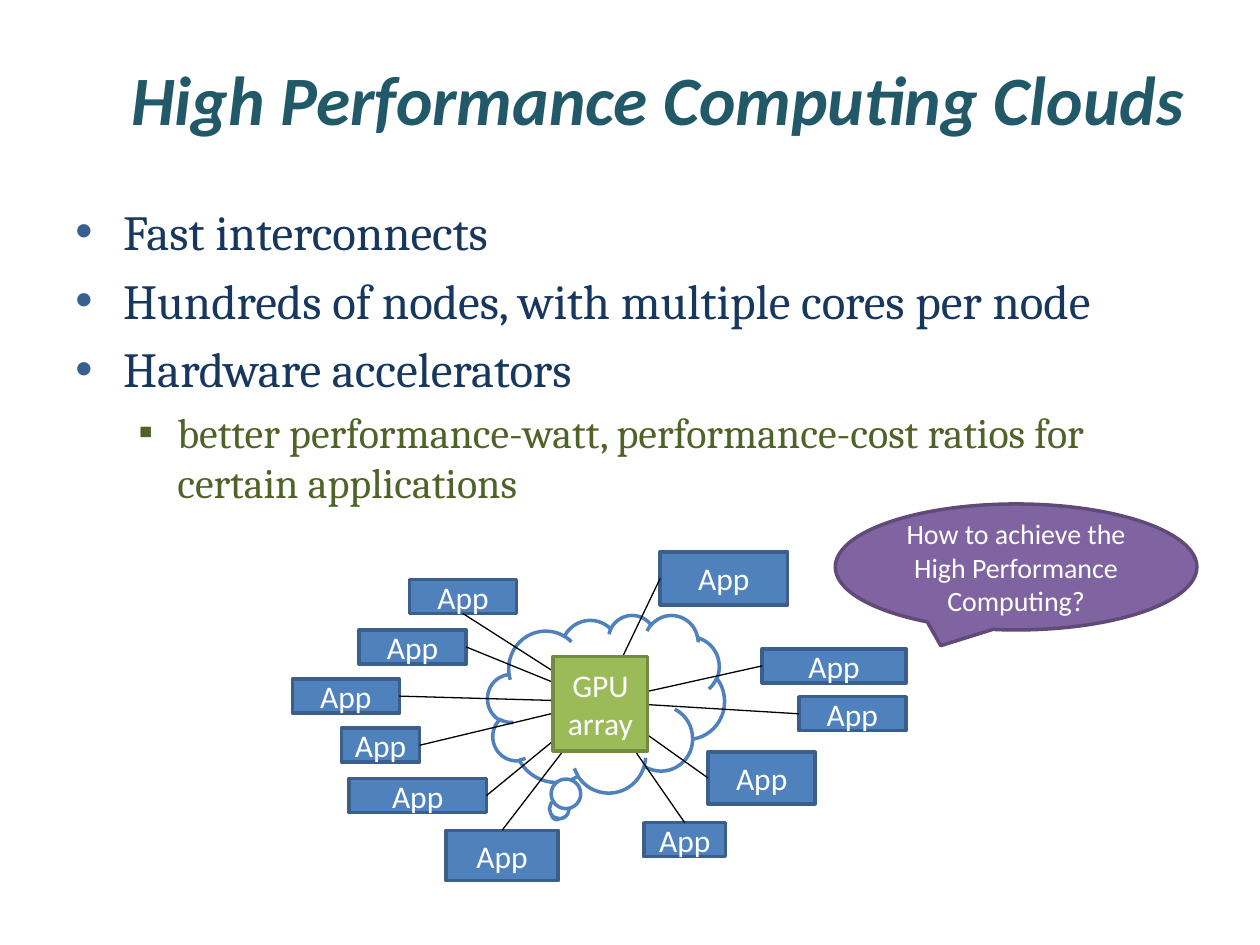
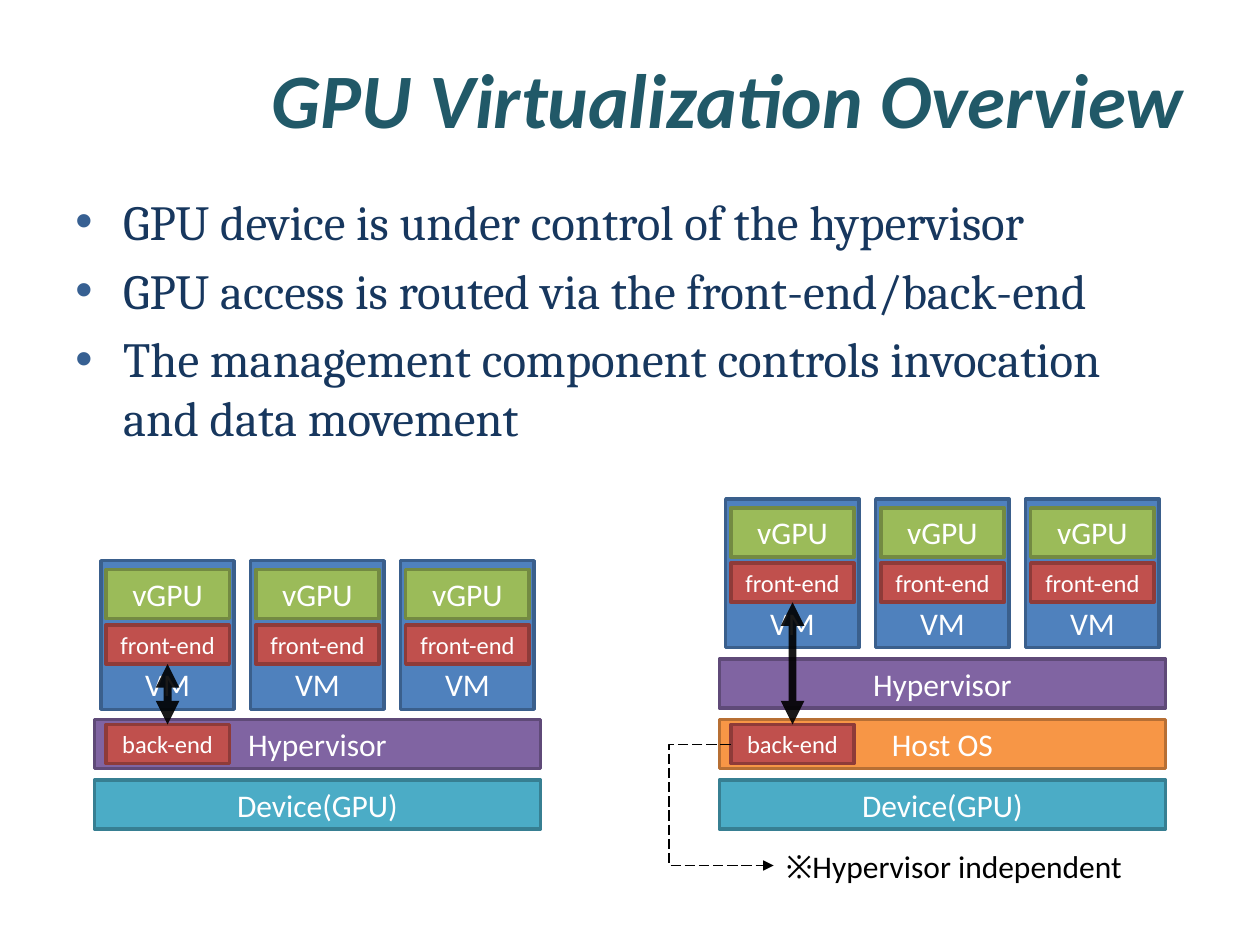
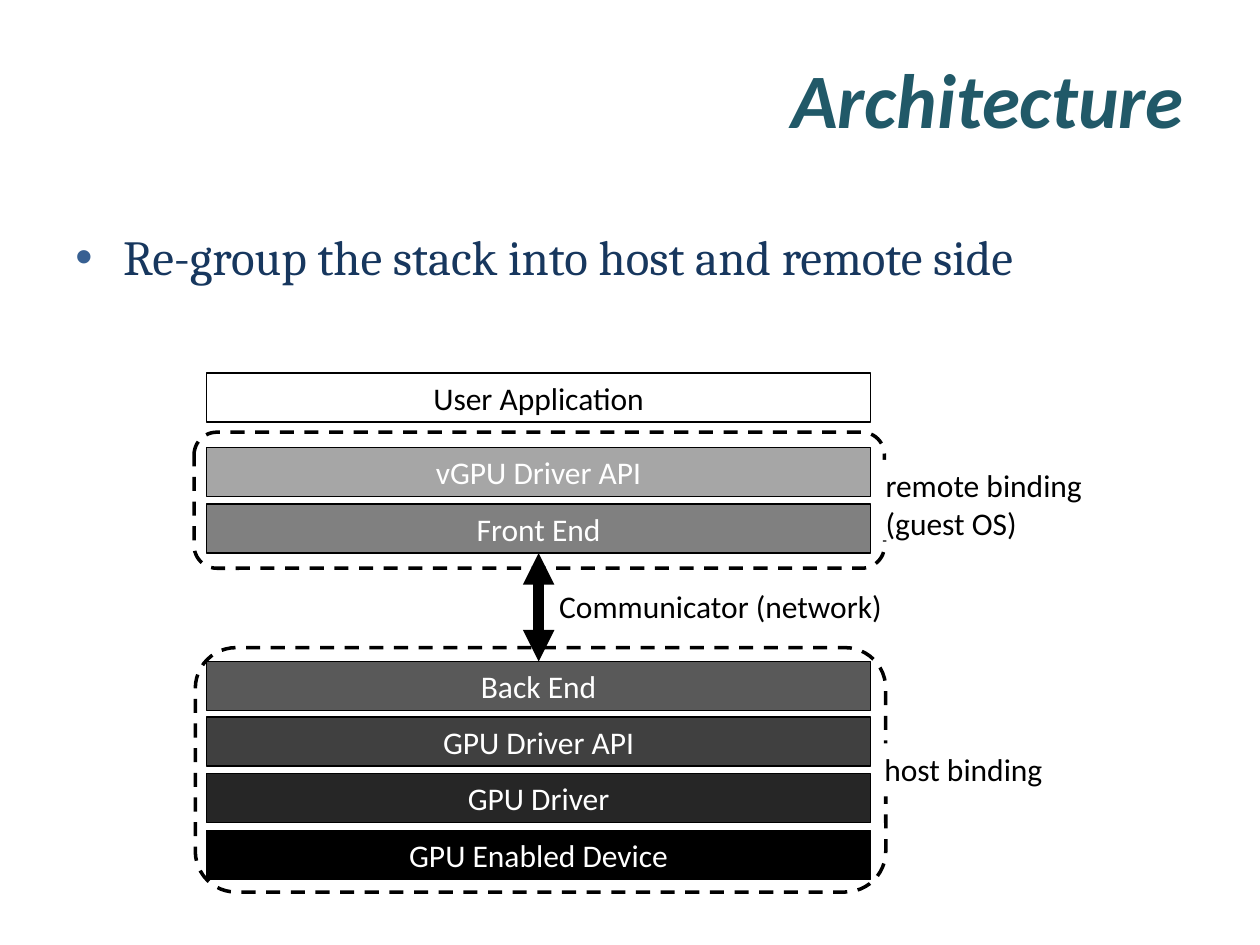
from lxml import etree
from pptx import Presentation
from pptx.dml.color import RGBColor
from pptx.enum.dml import MSO_LINE
from pptx.enum.shapes import MSO_CONNECTOR, MSO_SHAPE
from pptx.enum.text import MSO_ANCHOR, MSO_AUTO_SIZE, PP_ALIGN
from pptx.oxml.ns import qn
from pptx.util import Inches, Pt

RECT, ROUNDED = MSO_SHAPE.RECTANGLE, MSO_SHAPE.ROUNDED_RECTANGLE
CLOUD, SPEECH = MSO_SHAPE.CLOUD_CALLOUT, MSO_SHAPE.OVAL_CALLOUT
STRAIGHT, ELBOW = MSO_CONNECTOR.STRAIGHT, MSO_CONNECTOR.ELBOW
DASH, LONG_DASH = MSO_LINE.DASH, MSO_LINE.LONG_DASH
MIDDLE, BOTTOM = MSO_ANCHOR.MIDDLE, MSO_ANCHOR.BOTTOM
CENTER, RIGHT = PP_ALIGN.CENTER, PP_ALIGN.RIGHT
NO_AUTOFIT = MSO_AUTO_SIZE.NONE
TOP_SIDE, LEFT_SIDE, BOTTOM_SIDE, RIGHT_SIDE = range(4)

rgb = RGBColor.from_string
WHITE, BLACK = "FFFFFF", "000000"
BLUE = ("4F81BD", "3A5F8C")
GREEN = ("9BBB59", "738A42")
PURPLE = ("8064A2", "5F4A78")
RED = ("C0504D", "8E3B39")
ORANGE = ("F79646", "B76F34")
TEAL = ("4BACC6", "377F92")
HEADING_FONT, BODY_FONT = "Calibri", "Cambria"


def box(slide, kind, place, text, colours, size=18, ink=WHITE, anchor=MIDDLE, weight=2):
    shape = slide.shapes.add_shape(kind, *map(Inches, place))
    shape.shadow.inherit = False
    fill, outline = colours
    if fill:
        shape.fill.solid()
        shape.fill.fore_color.rgb = rgb(fill)
    else:
        shape.fill.background()
    shape.line.color.rgb = rgb(outline)
    shape.line.width = Pt(weight)
    if text:
        frame = shape.text_frame
        frame.word_wrap = True
        frame.vertical_anchor = anchor
        paragraph = frame.paragraphs[0]
        paragraph.text = text
        paragraph.alignment = CENTER
        paragraph.font.name = HEADING_FONT
        paragraph.font.size = Pt(size)
        paragraph.font.color.rgb = rgb(ink)
    return shape


def arrow(slide, kind, start, end, weight, heads=("tailEnd",)):
    connector = slide.shapes.add_connector(kind, *map(Inches, start + end))
    connector.line.color.rgb = rgb(BLACK)
    connector.line.width = Pt(weight)
    properties = connector._element.spPr
    for head in heads:
        etree.SubElement(properties.find(qn("a:ln")), qn(f"a:{head}"), type="triangle")
    etree.SubElement(properties, qn("a:effectLst"))
    return connector


BOTH_HEADS = ("headEnd", "tailEnd")

prs = Presentation()
prs.slide_width, prs.slide_height = Inches(10), Inches(7.5)

bullet_levels = [
    (0.38, -0.38, "•", "376092", "17375E", 28),
    (0.81, -0.31, "▪", "4F6228", "4F6228", 24),
]
outline = [
    ("High Performance Computing Clouds", 39.6, 1.55, 5.15, [
        (0, "Fast interconnects"),
        (0, "Hundreds of nodes, with multiple cores per node"),
        (0, "Hardware accelerators"),
        (1, "better performance-watt, performance-cost ratios for certain applications"),
    ]),
    ("GPU Virtualization Overview", 44, 1.47, 2.2, [
        (0, "GPU device is under control of the hypervisor"),
        (0, "GPU access is routed via the front-end/back-end"),
        (0, "The management component controls invocation and data movement"),
    ]),
    ("Architecture", 44, 1.75, 4.95, [
        (0, "Re-group the stack into host and remote side"),
    ]),
]
for heading, heading_size, body_top, body_height, points in outline:
    slide = prs.slides.add_slide(prs.slide_layouts[5])
    title = slide.shapes.title
    title.left, title.top, title.width, title.height = map(Inches, (0.5, 0.3, 9, 0.95))
    title.text_frame.text = heading
    title.text_frame.auto_size = NO_AUTOFIT
    title.text_frame.vertical_anchor = MIDDLE
    paragraph = title.text_frame.paragraphs[0]
    paragraph.alignment = RIGHT
    paragraph.font.name = HEADING_FONT
    paragraph.font.size = Pt(heading_size)
    paragraph.font.bold = paragraph.font.italic = True
    paragraph.font.color.rgb = rgb("215968")

    body = slide.shapes.add_textbox(*map(Inches, (0.5, body_top, 9, body_height))).text_frame
    body.word_wrap = True
    for index, (level, point) in enumerate(points):
        margin, indent, mark, mark_colour, ink, size = bullet_levels[level]
        paragraph = body.add_paragraph() if index else body.paragraphs[0]
        paragraph.text = point
        paragraph.level = level
        properties = paragraph._p.get_or_add_pPr()
        properties.set("marL", str(Inches(margin)))
        properties.set("indent", str(Inches(indent)))
        colour = etree.SubElement(properties, qn("a:buClr"))
        etree.SubElement(colour, qn("a:srgbClr"), val=mark_colour)
        etree.SubElement(properties, qn("a:buFont"), typeface="Arial")
        etree.SubElement(properties, qn("a:buChar"), char=mark)
        if index:
            paragraph.space_before = Pt(size * 0.2)
        paragraph.font.name = BODY_FONT
        paragraph.font.size = Pt(size)
        paragraph.font.color.rgb = rgb(ink)

clouds, virtualization, architecture = prs.slides

gpu_centre = (4.77, 5.57)
apps = [
    (5.24, 4.38, 1.01, 0.42, LEFT_SIDE),
    (3.25, 4.6, 0.85, 0.27, BOTTOM_SIDE),
    (5.11, 6.53, 0.65, 0.27, TOP_SIDE),
    (2.71, 5.78, 0.62, 0.27, RIGHT_SIDE),
    (2.77, 6.18, 1.09, 0.27, RIGHT_SIDE),
    (5.62, 5.97, 0.85, 0.41, LEFT_SIDE),
    (6.05, 5.15, 1.14, 0.27, LEFT_SIDE),
    (2.85, 5, 0.85, 0.27, RIGHT_SIDE),
    (6.34, 5.53, 0.85, 0.27, LEFT_SIDE),
    (2.32, 5.39, 0.85, 0.27, RIGHT_SIDE),
    (3.54, 6.59, 0.89, 0.4, TOP_SIDE),
]
box(clouds, CLOUD, (3.87, 4.88, 1.88, 1.41), "", (WHITE, BLUE[0]))
for *place, side in apps:
    app = box(clouds, RECT, place, "App", BLUE)
    arrow(clouds, STRAIGHT, tuple(place[:2]), gpu_centre, 0.75).begin_connect(app, side)
box(clouds, RECT, (4.39, 5.21, 0.75, 0.75), "GPU array", GREEN)
box(clouds, SPEECH, (6.63, 4, 2.87, 1),
    "How to achieve the High Performance Computing?", PURPLE, size=16)

stacks = [
    (0.75, 4.45, [("Hypervisor", PURPLE), ("Device(GPU)", TEAL)]),
    (5.71, 3.96, [("Hypervisor", PURPLE), ("Host OS", ORANGE), ("Device(GPU)", TEAL)]),
]
for left, vm_top, layers in stacks:
    for row, (layer, colours) in enumerate(reversed(layers)):
        box(virtualization, RECT, (left, 6.19 - 0.48 * row, 3.54, 0.39), layer, colours)
    back_end = box(virtualization, RECT, (left + 0.09, 5.75, 0.98, 0.31), "back-end", RED, size=14)
    front_ends = []
    for column in range(3):
        vm_left = left + 0.05 + 1.19 * column
        inner_left = vm_left + 0.04
        box(virtualization, RECT, (vm_left, vm_top, 1.06, 1.18), "VM", BLUE, anchor=BOTTOM)
        box(virtualization, RECT, (inner_left, vm_top + 0.07, 0.98, 0.39), "vGPU", GREEN)
        front_ends.append(box(virtualization, RECT, (inner_left, vm_top + 0.51, 0.98, 0.31),
                              "front-end", RED, size=14))
    channel = arrow(virtualization, STRAIGHT, (left + 0.58, vm_top + 0.82),
                    (left + 0.58, 5.75), 4.5, BOTH_HEADS)
    channel.begin_connect(front_ends[0], BOTTOM_SIDE)
    channel.end_connect(back_end, TOP_SIDE)
    channel_colour = channel._element.spPr.find(".//" + qn("a:srgbClr"))
    etree.SubElement(channel_colour, qn("a:alpha"), val="90000")

callout = arrow(virtualization, ELBOW, (5.8, 5.91), (6.14, 6.87), 0.75)
callout.line.dash_style = LONG_DASH
bend = callout._element.spPr.find(qn("a:prstGeom")).get_or_add_avLst()
etree.SubElement(bend, qn("a:gd"), name="adj1", fmla="val -144400")

components = [
    ("User Application", 2.96, WHITE, BLACK),
    ("vGPU Driver API", 3.55, "A6A6A6", WHITE),
    ("Front End", 4, "808080", WHITE),
    ("Back End", 5.25, "595959", WHITE),
    ("GPU Driver API", 5.69, "404040", WHITE),
    ("GPU Driver", 6.14, "262626", WHITE),
    ("GPU Enabled Device", 6.59, BLACK, WHITE),
]
bars = {}
for component, top, fill, ink in components:
    bars[component] = box(architecture, RECT, (1.64, top, 5.27, 0.39), component,
                          (fill, BLACK), ink=ink, weight=0.75)
communicator = arrow(architecture, STRAIGHT, (4.27, 4.4), (4.27, 5.25), 6, BOTH_HEADS)
communicator.begin_connect(bars["Front End"], BOTTOM_SIDE)
communicator.end_connect(bars["Back End"], TOP_SIDE)
for binding in [(1.54, 3.43, 5.48, 1.08), (1.55, 5.14, 5.48, 1.94)]:
    box(architecture, ROUNDED, binding, "", (None, BLACK)).line.dash_style = DASH

labels = [
    (virtualization, (6.14, 6.67, 2.9, 0.4), "※Hypervisor independent", False),
    (architecture, (4.34, 4.61, 2.8, 0.42), "Communicator (network)", False),
    (architecture, (6.92, 5.9, 1.54, 0.42), "host binding", True),
    (architecture, (6.93, 3.65, 1.85, 0.64), "remote binding\v(guest OS)", True),
]
for slide, place, text, covers_outline in labels:
    label = slide.shapes.add_textbox(*map(Inches, place))
    label.text_frame.word_wrap = True
    if covers_outline:
        label.fill.solid()
        label.fill.fore_color.rgb = rgb(WHITE)
    paragraph = label.text_frame.paragraphs[0]
    paragraph.text = text
    paragraph.font.name = HEADING_FONT
    paragraph.font.size = Pt(18)
    paragraph.font.color.rgb = rgb(BLACK)

prs.save("out.pptx")
